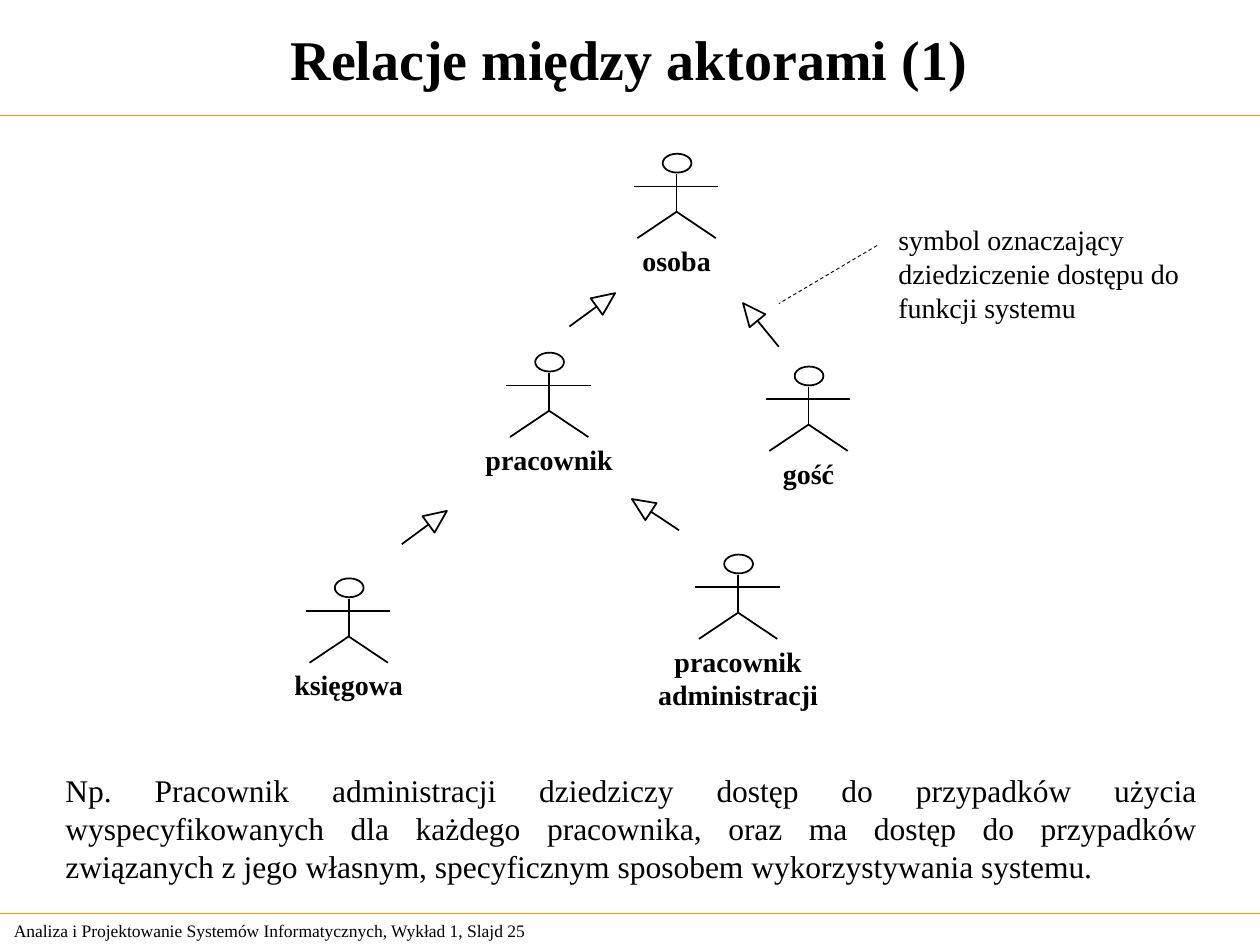
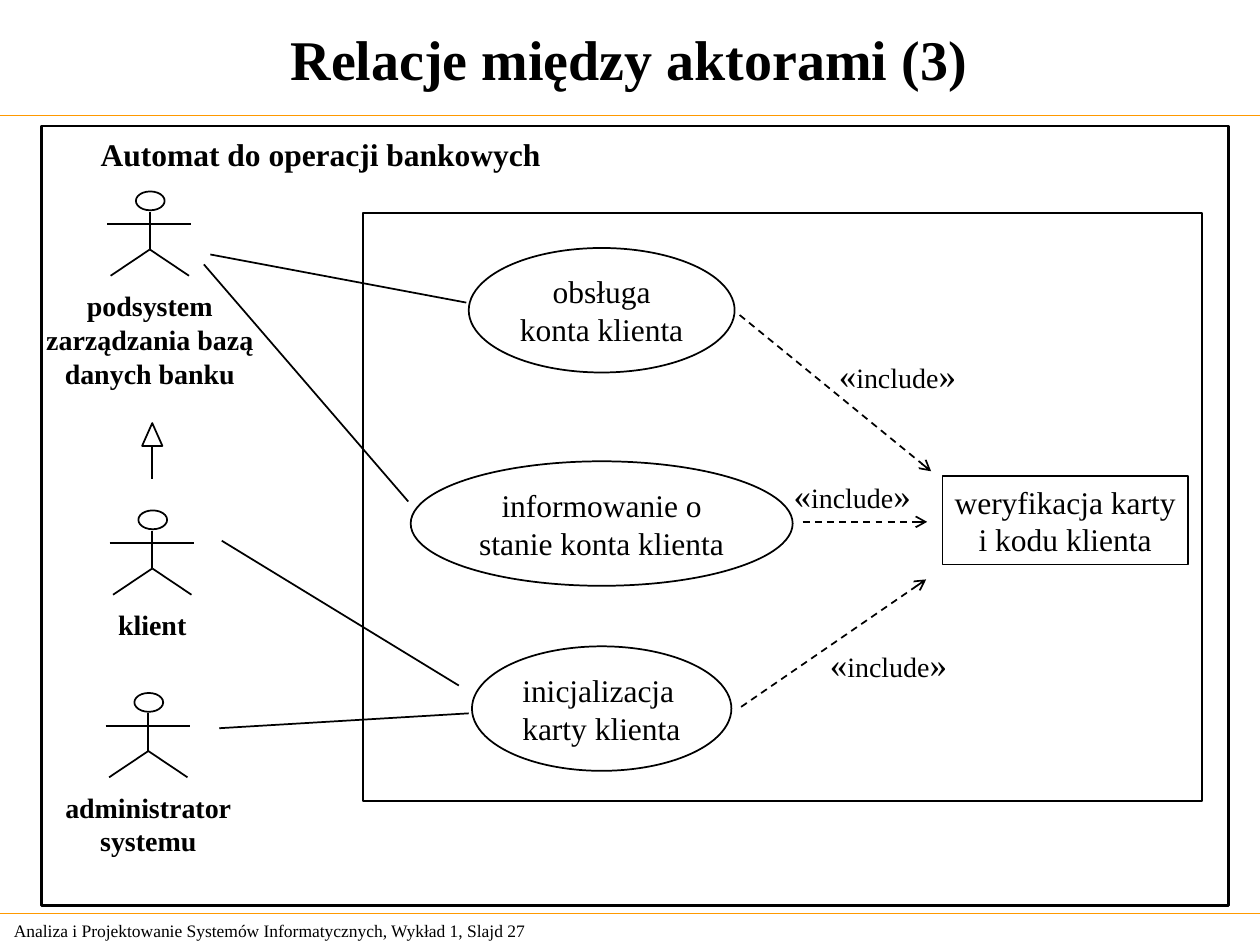
import math

from lxml import etree
from pptx import Presentation
from pptx.dml.color import RGBColor
from pptx.enum.dml import MSO_LINE
from pptx.enum.shapes import MSO_CONNECTOR, MSO_SHAPE
from pptx.enum.text import MSO_ANCHOR, PP_ALIGN
from pptx.oxml.ns import qn
from pptx.util import Cm, Pt

BLACK = RGBColor(0x00, 0x00, 0x00)
WHITE = RGBColor(0xFF, 0xFF, 0xFF)
ORANGE = RGBColor(0xFF, 0x99, 0x00)
FONT = "Times New Roman"
LEFT, CENTER, JUSTIFY = PP_ALIGN.LEFT, PP_ALIGN.CENTER, PP_ALIGN.JUSTIFY
TOP, MIDDLE = MSO_ANCHOR.TOP, MSO_ANCHOR.MIDDLE
STRAIGHT = MSO_CONNECTOR.STRAIGHT
OVAL, RECT, TRIANGLE = MSO_SHAPE.OVAL, MSO_SHAPE.RECTANGLE, MSO_SHAPE.ISOSCELES_TRIANGLE
DASH = MSO_LINE.DASH

SLIDE_W, SLIDE_H = 25.4, 19.05
HEADER_Y, FOOTER_Y = 2.33, 18.41
INSET = 0.25

TITLE = {"size": Pt(32), "bold": True}
BODY = {"size": Pt(18), "bold": False}
HEADING = {"size": Pt(18), "bold": True}
LABEL = {"size": Pt(16), "bold": True}
NOTE = {"size": Pt(16), "bold": False}
QUOTE = {"size": Pt(20), "bold": False}
FOOTER = {"size": Pt(10), "bold": False}


# Basic parts: text, shapes and lines
def add_run(p, text, fmt):
    r = p.add_run()
    r.text = text
    r.font.name = FONT
    r.font.color.rgb = BLACK
    for name, value in fmt.items():
        setattr(r.font, name, value)


def write(sp, lines, fmt, align=LEFT, anchor=TOP, left=INSET, right=INSET):
    """Each line is a string or a list of (text, format) runs."""
    tf = sp.text_frame
    tf.word_wrap = True
    tf.vertical_anchor = anchor
    tf.margin_left, tf.margin_right = Cm(left), Cm(right)
    for i, line in enumerate(lines):
        p = tf.paragraphs[0] if i == 0 else tf.add_paragraph()
        p.alignment = align
        for text, run_fmt in [(line, fmt)] if isinstance(line, str) else line:
            add_run(p, text, run_fmt)


def add_text(s, box, lines, fmt, **layout):
    sp = s.shapes.add_textbox(*map(Cm, box))
    write(sp, lines, fmt, **layout)


def add_outline(s, kind, box, width=1, fill=None):
    sp = s.shapes.add_shape(kind, *map(Cm, box))
    sp.shadow.inherit = False
    if fill is None:
        sp.fill.background()
    else:
        sp.fill.solid()
        sp.fill.fore_color.rgb = fill
    sp.line.color.rgb = BLACK
    sp.line.width = Pt(width)
    return sp


def add_line(s, x1, y1, x2, y2, color=BLACK, width=1, dash=None, arrow=False):
    line = s.shapes.add_connector(STRAIGHT, Cm(x1), Cm(y1), Cm(x2), Cm(y2))
    line.line.color.rgb = color
    line.line.width = Pt(width)
    if dash is not None:
        line.line.dash_style = dash
    if arrow:
        etree.SubElement(line.line._get_or_add_ln(), qn("a:tailEnd"), type="arrow")
    etree.SubElement(line._element.spPr, qn("a:effectLst"))


# Diagram symbols
def add_actor(s, left, top, label, label_w, label_dy):
    """Stick figure, 1.7 cm square, with its label centred below."""
    spine = left + 0.86
    hip, foot = top + 1.17, top + 1.7
    g = s.shapes.add_group_shape()
    add_outline(g, OVAL, (left + 0.58, top, 0.58, 0.38))
    add_line(g, spine, top + 0.41, spine, hip)
    add_line(g, left, top + 0.66, left + 1.7, top + 0.66)
    for side in (1, -1):
        add_line(g, spine, hip, spine + side * 0.79, foot)
    label_box = (spine - label_w / 2, top + label_dy, label_w, 0.25 + 0.68 * len(label))
    add_text(g, label_box, label, LABEL, align=CENTER, left=0, right=0)


def add_inheritance(s, tip, tail):
    """Hollow triangle at the tip, with a line back to the tail."""
    w, h = 0.41, 0.46
    (x, y), (tail_x, tail_y) = tip, tail
    length = math.dist(tip, tail)
    ux, uy = (x - tail_x) / length, (y - tail_y) / length
    cx, cy = x - ux * h / 2, y - uy * h / 2
    g = s.shapes.add_group_shape()
    head = add_outline(g, TRIANGLE, (cx - w / 2, cy - h / 2, w, h), fill=WHITE)
    head.rotation = math.degrees(math.atan2(ux, -uy)) % 360
    add_line(g, x - ux * h, y - uy * h, tail_x, tail_y)


# Frame shared by the slides
def add_base_slide(prs, part, number):
    s = prs.slides.add_slide(prs.slide_layouts[6])
    for y in (HEADER_Y, FOOTER_Y):
        add_line(s, 0, y, SLIDE_W, y, color=ORANGE, width=0.75)
    add_text(s, (0, 0, 25.37, HEADER_Y), [f"Relacje między aktorami ({part})"],
             TITLE, align=CENTER, anchor=MIDDLE)
    add_text(s, (0.03, FOOTER_Y, 12.07, 0.69),
             [f"Analiza i Projektowanie Systemów Informatycznych, Wykład 1, Slajd {number}"],
             FOOTER, anchor=MIDDLE)
    return s


def build_actor_tree(prs):
    s = add_base_slide(prs, 1, 25)
    # Actors: left, top, label, label width
    for left, top, label, label_w in [
        (12.78, 3.1, ["osoba"], 1.88),
        (15.44, 7.39, ["gość"], 1.52),
        (10.21, 7.11, ["pracownik"], 3.07),
        (6.17, 11.66, ["księgowa"], 2.69),
        (14.02, 11.18, ["pracownik", "administracji"], 3.73),
    ]:
        add_actor(s, left, top, label, label_w, 1.68)
    # Inheritance arrows: tip, tail
    for tip, tail in [
        ((14.98, 6.11), (15.7, 6.99)),
        ((12.4, 5.91), (11.48, 6.58)),
        ((12.74, 10.06), (13.69, 10.69)),
        ((9.01, 10.3), (8.1, 10.97)),
    ]:
        add_inheritance(s, tip, tail)
    # Explanation of the symbol and example
    add_line(s, 17.68, 4.95, 15.7, 6.12, width=0.5, dash=DASH)
    add_text(s, (17.86, 4.37, 6.53, 2.29),
             ["symbol oznaczający dziedziczenie dostępu do funkcji systemu"], NOTE)
    add_text(s, (1.07, 15.42, 23.32, 2.54),
             ["Np. Pracownik administracji dziedziczy dostęp do przypadków użycia "
              "wyspecyfikowanych dla każdego pracownika, oraz ma dostęp do przypadków "
              "związanych z jego własnym, specyficznym sposobem wykorzystywania systemu."],
             BODY, align=JUSTIFY)


def add_use_cases(s):
    middle, height = 12.13, 2.51
    for top, width, lines, align, inset in [
        (5, 5.36, ["obsługa", "konta klienta"], CENTER, 0),
        (9.3, 7.7, ["informowanie o", "stanie konta klienta"], CENTER, 0),
        (13.03, 5.23, ["inicjalizacja", "karty klienta"], LEFT, INSET),
    ]:
        sp = add_outline(s, OVAL, (middle - width / 2, top, width, height))
        write(sp, lines, BODY, align=align, anchor=MIDDLE, left=inset, right=0)
    sp = add_outline(s, RECT, (19, 9.6, 4.95, 1.78))
    write(sp, ["weryfikacja karty", "i kodu klienta"], BODY,
          align=CENTER, anchor=MIDDLE, left=0, right=0)


def build_bank_machine(prs):
    s = add_base_slide(prs, 3, 27)
    # System frames and heading
    add_outline(s, RECT, (0.84, 2.54, 23.93, 15.72), width=1.5)
    add_outline(s, RECT, (7.32, 4.29, 16.92, 11.86))
    add_text(s, (1.78, 2.59, 10, 1.02), ["Automat do operacji bankowych"], HEADING)
    add_use_cases(s)
    # Links from actors to use cases
    for ends in [
        (4.24, 5.13, 9.4, 6.1),
        (4.11, 5.33, 8.23, 10.11),
        (4.42, 14.68, 9.45, 14.38),
        (4.47, 10.9, 9.25, 13.82),
    ]:
        add_line(s, *ends)
    # Include arrows, each with the corner of its label
    include = [("«", QUOTE), ("include", NOTE), ("»", QUOTE)]
    for ends, corner in [
        ((14.94, 14.25, 18.67, 11.68), (16.48, 12.83)),
        ((16.18, 10.52, 18.69, 10.52), (15.75, 9.42)),
        ((14.91, 6.35, 18.77, 9.5), (16.66, 7.01)),
    ]:
        add_line(s, *ends, dash=DASH, arrow=True)
        add_text(s, (*corner, 2.87, 1.12), [include], NOTE, right=0)
    # Actors: left, top, label, label width
    for left, top, label, label_w in [
        (2.16, 3.86, ["podsystem", "zarządzania bazą", "danych banku"], 4.67),
        (2.21, 10.29, ["klient"], 1.88),
        (2.13, 13.97, ["administrator", "systemu"], 3.86),
    ]:
        add_actor(s, left, top, label, label_w, 1.84)
    add_inheritance(s, (3.07, 8.53), (3.07, 9.65))


def main():
    prs = Presentation()
    prs.slide_width, prs.slide_height = Cm(SLIDE_W), Cm(SLIDE_H)
    build_actor_tree(prs)
    build_bank_machine(prs)
    prs.save("out.pptx")


if __name__ == "__main__":
    main()
